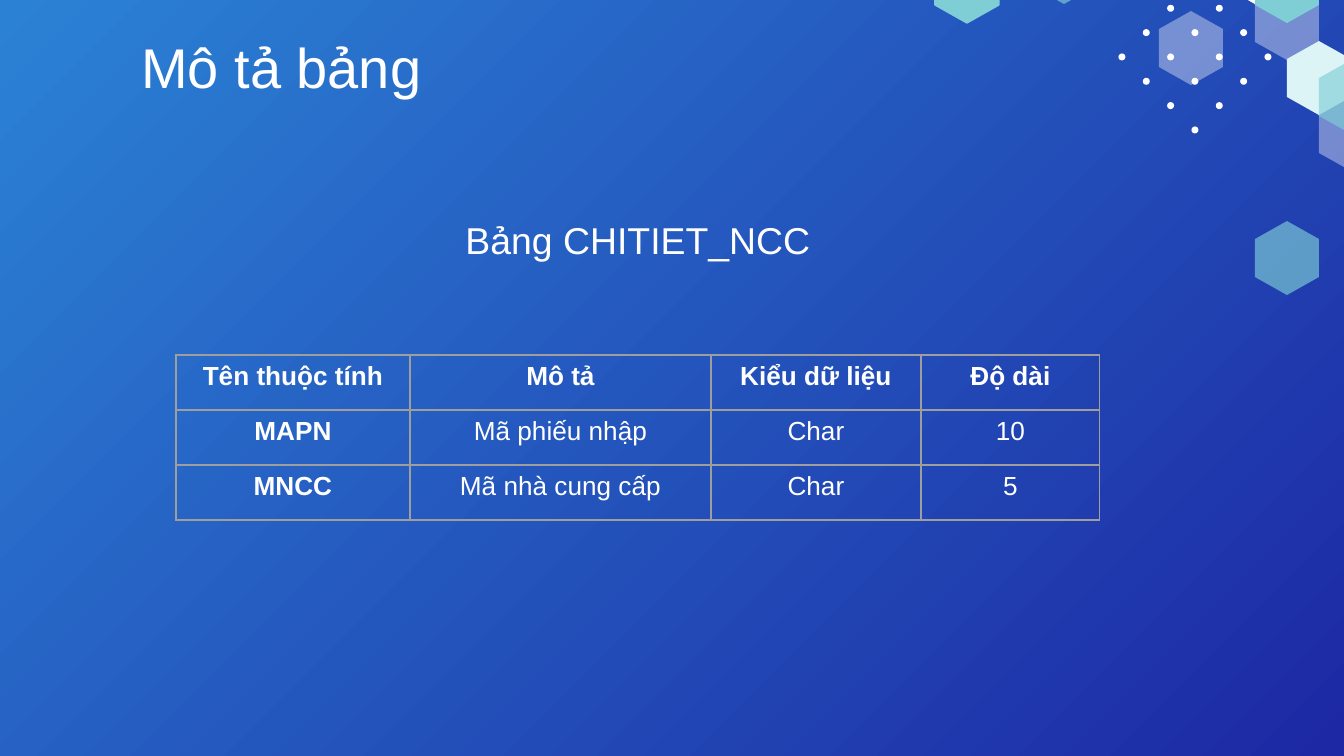
from pptx import Presentation
from pptx.dml.color import RGBColor
from pptx.enum.shapes import MSO_SHAPE
from pptx.enum.text import MSO_ANCHOR, PP_ALIGN
from pptx.oxml import parse_xml
from pptx.oxml.ns import nsdecls, qn
from pptx.util import Pt

OVAL = MSO_SHAPE.OVAL
BOTTOM = MSO_ANCHOR.BOTTOM
CENTER = PP_ALIGN.CENTER

EMU_PER_PX = 914400 / 134.4
FONT = "Arial"
COLORS = {
    "light blue": "2B82D5",
    "dark blue": "1D28A4",
    "white": "FFFFFF",
    "teal": "7FCED6",
    "pale teal": "DDF4F7",
    "border": "9E9E9E",
}

# left, top, color, opacity in percent, outlined
HEXAGONS = [
    (1255, -14, "white", 38, False),
    (1223, -70, "white", 100, False),
    (1032, -70, "teal", 65, False),
    (1287, 41, "pale teal", 100, False),
    (1319, 97, "white", 38, False),
    (1159, 11, "white", 38, False),
    (1255, -51, "teal", 100, False),
    (935, -51, "teal", 100, True),
    (1319, 60, "teal", 65, False),
    (1255, 221, "teal", 65, False),
]

COLUMN_WIDTHS = [234, 301, 210, 179]
ROW_HEIGHT = 55
ROWS = [
    ["Tên thuộc tính", "Mô tả", "Kiểu dữ liệu", "Độ dài"],
    ["MAPN", "Mã phiếu nhập", "Char", "10"],
    ["MNCC", "Mã nhà cung cấp", "Char", "5"],
]


def px(value):
    return round(value * EMU_PER_PX)


def color(name):
    return RGBColor.from_string(COLORS[name])


def paint_background(slide):
    fill = slide.background.fill
    fill.gradient()
    fill.gradient_angle = 315
    for stop, name in zip(fill.gradient_stops, ("light blue", "dark blue")):
        stop.color.rgb = color(name)


def style_shape(shape, color_name, opacity=100, outlined=False):
    shape.shadow.inherit = False
    shape.fill.solid()
    shape.fill.fore_color.rgb = color(color_name)
    if opacity < 100:
        fill_color = shape._element.spPr.find(".//" + qn("a:srgbClr"))
        fill_color.append(parse_xml(f'<a:alpha {nsdecls("a")} val="{opacity * 1000}"/>'))
    if outlined:
        shape.line.color.rgb = color(color_name)
        shape.line.width = Pt(0.75)
    else:
        shape.line.fill.background()


def add_dots(slide, center_x, center_y, reach=3, size=7):
    """Fill a diamond with every second grid point, leaving out its top tip."""
    for row in range(1 - reach, reach + 1):
        span = reach - abs(row)
        for column in range(-span, span + 1, 2):
            left = center_x + column * 73 / 3 - size / 2
            top = center_y + row * 73 / 3 - size / 2
            dot = slide.shapes.add_shape(OVAL, px(left), px(top), px(size), px(size))
            style_shape(dot, "white")


def add_hexagon(slide, left, top, color_name, opacity, outlined):
    """Draw a hexagon that stands on a corner."""
    middle, right = left + 32, left + 64
    upper, lower, bottom = top + 18, top + 56, top + 74
    builder = slide.shapes.build_freeform(middle, top, scale=EMU_PER_PX)
    builder.add_line_segments([
        (right, upper), (right, lower), (middle, bottom), (left, lower), (left, upper),
    ])
    style_shape(builder.convert_to_shape(), color_name, opacity, outlined)


def style_paragraph(paragraph, size, bold=False):
    paragraph.alignment = CENTER
    font = paragraph.font
    font.name = FONT
    font.size = Pt(size)
    font.bold = bold
    font.color.rgb = color("white")


def add_text(slide, text, left, top, width, height, size):
    frame = slide.shapes.add_textbox(px(left), px(top), px(width), px(height)).text_frame
    frame.word_wrap = True
    frame.vertical_anchor = BOTTOM
    frame.margin_left = frame.margin_right = px(13)
    frame.margin_top = frame.margin_bottom = px(13)
    frame.text = text
    style_paragraph(frame.paragraphs[0], size)


def add_borders(cell):
    properties = cell._tc.get_or_add_tcPr()
    for side in ("lnL", "lnR", "lnT", "lnB"):
        properties.append(parse_xml(
            f'<a:{side} {nsdecls("a")} w="{Pt(0.75)}"><a:solidFill>'
            f'<a:srgbClr val="{COLORS["border"]}"/></a:solidFill></a:{side}>'
        ))


def add_attribute_table(slide, left, top):
    table = slide.shapes.add_table(
        len(ROWS), len(COLUMN_WIDTHS), px(left), px(top),
        px(sum(COLUMN_WIDTHS)), px(ROW_HEIGHT * len(ROWS)),
    ).table
    table.first_row = False
    table.horz_banding = False
    for column, width in zip(table.columns, COLUMN_WIDTHS):
        column.width = px(width)
    for row_index, texts in enumerate(ROWS):
        table.rows[row_index].height = px(ROW_HEIGHT)
        for column_index, text in enumerate(texts):
            cell = table.cell(row_index, column_index)
            cell.text = text
            is_heading = row_index == 0 or column_index == 0
            style_paragraph(cell.text_frame.paragraphs[0], 14, is_heading)
            add_borders(cell)
            cell.fill.background()


def main():
    presentation = Presentation()
    presentation.slide_width = px(1344)
    presentation.slide_height = px(756)
    slide = presentation.slides.add_slide(presentation.slide_layouts[6])
    paint_background(slide)
    add_dots(slide, 1195, 57)
    for hexagon in HEXAGONS:
        add_hexagon(slide, *hexagon)
    add_text(slide, "Mô tả bảng", 66, 30, 431, 83, 30)
    add_attribute_table(slide, 176, 355)
    add_text(slide, "Bảng CHITIET_NCC", 248, 192, 780, 83, 20)
    presentation.save("out.pptx")


if __name__ == "__main__":
    main()
